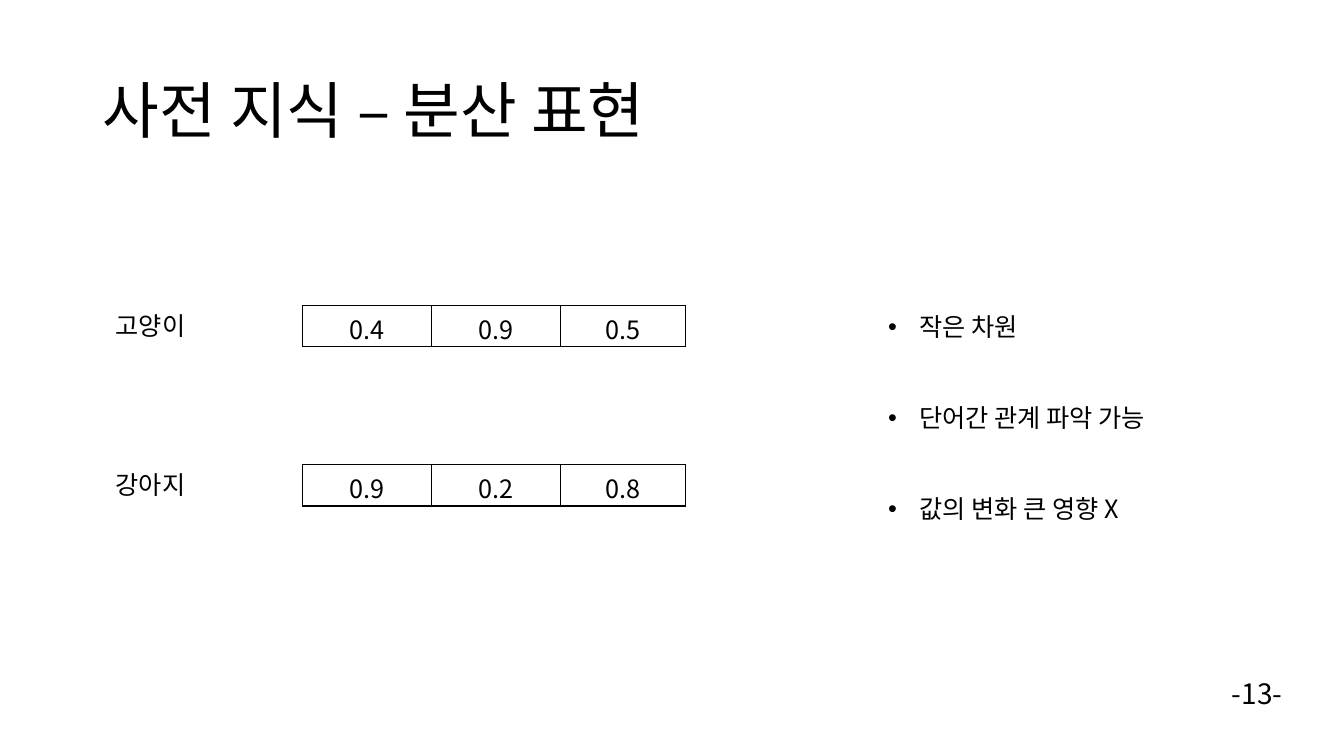
from dataclasses import dataclass

from lxml import etree
from pptx import Presentation, util as u
from pptx.dml.color import RGBColor
from pptx.enum import text
from pptx.oxml.ns import qn

COLORS = {"ink": "000000", "paper": "FFFFFF"}
FONT = "Noto Sans CJK KR"
COLUMN_WIDTHS = (1.28, 1.28, 1.24)
ROW_HEIGHT = 0.41


@dataclass
class WordVector:
    word: str
    values: tuple[str, ...]
    top: float


@dataclass
class Label:
    lines: tuple[str, ...]
    left: float
    top: float
    width: float
    height: float
    size: int = 18


VECTORS = (
    WordVector("고양이", ("0.4", "0.9", "0.5"), 3.03),
    WordVector("강아지", ("0.9", "0.2", "0.8"), 4.61),
)
PAGE_NUMBER = Label(("-13-",), 12.12, 6.66, 0.74, 0.44, 20)
ADVANTAGES = Label(
    ("작은 차원", "단어간 관계 파악 가능", "값의 변화 큰 영향 X"), 8.71, 2.89, 3.06, 2.31
)


def style_paragraph(paragraph, size: int) -> None:
    font = paragraph.font
    font.size = u.Pt(size)
    font.name = FONT
    font.color.rgb = RGBColor.from_string(COLORS["ink"])
    defaults = paragraph._p.pPr.find(qn("a:defRPr"))
    defaults.find(qn("a:latin")).addnext(etree.Element(qn("a:ea"), typeface=FONT))


def add_bullet(paragraph) -> None:
    properties = paragraph._p.pPr
    properties.set("marL", str(u.Inches(0.31)))
    properties.set("indent", str(-u.Inches(0.31)))
    defaults = properties.find(qn("a:defRPr"))
    defaults.addprevious(etree.Element(qn("a:buFont"), typeface="Arial"))
    defaults.addprevious(etree.Element(qn("a:buChar"), char="•"))


def add_label(slide, label: Label):
    box = slide.shapes.add_textbox(
        *map(u.Inches, (label.left, label.top, label.width, label.height))
    )
    frame = box.text_frame
    frame.word_wrap = False
    frame.auto_size = text.MSO_AUTO_SIZE.SHAPE_TO_FIT_TEXT
    frame.text = "\n".join(label.lines)
    for paragraph in frame.paragraphs:
        style_paragraph(paragraph, label.size)
    return frame


def add_borders(cell) -> None:
    properties = cell._tc.get_or_add_tcPr()
    for index, side in enumerate(("lnL", "lnR", "lnT", "lnB")):
        border = etree.Element(qn(f"a:{side}"), w=str(u.Pt(1)))
        fill = etree.SubElement(border, qn("a:solidFill"))
        etree.SubElement(fill, qn("a:srgbClr"), val=COLORS["ink"])
        properties.insert(index, border)


def add_vector(slide, vector: WordVector) -> None:
    add_label(slide, Label((vector.word,), 1.05, vector.top, 0.96, 0.4))
    table = slide.shapes.add_table(
        1, len(vector.values), u.Inches(3), u.Inches(vector.top),
        u.Inches(sum(COLUMN_WIDTHS)), u.Inches(ROW_HEIGHT),
    ).table
    table.first_row = False
    table.horz_banding = False
    for column, width in zip(table.columns, COLUMN_WIDTHS):
        column.width = u.Inches(width)
    for cell, value in zip(table.rows[0].cells, vector.values):
        cell.text = value
        cell.fill.solid()
        cell.fill.fore_color.rgb = RGBColor.from_string(COLORS["paper"])
        add_borders(cell)
        paragraph = cell.text_frame.paragraphs[0]
        paragraph.alignment = text.PP_ALIGN.CENTER
        style_paragraph(paragraph, 18)


def add_title(slide, wording: str) -> None:
    title = slide.shapes.title
    title.left, title.top, title.width, title.height = map(
        u.Inches, (0.92, 0.4, 11.5, 1.45)
    )
    frame = title.text_frame
    frame.text = wording
    frame.auto_size = text.MSO_AUTO_SIZE.NONE
    frame.vertical_anchor = text.MSO_ANCHOR.MIDDLE
    paragraph = frame.paragraphs[0]
    paragraph.alignment = text.PP_ALIGN.LEFT
    paragraph.line_spacing = 0.9
    style_paragraph(paragraph, 44)


def main() -> None:
    deck = Presentation()
    deck.slide_width, deck.slide_height = u.Inches(13.33), u.Inches(7.5)
    slide = deck.slides.add_slide(deck.slide_layouts[5])
    add_title(slide, "사전 지식 – 분산 표현")
    add_label(slide, PAGE_NUMBER)
    for vector in VECTORS:
        add_vector(slide, vector)
    advantages = add_label(slide, ADVANTAGES)
    for paragraph in advantages.paragraphs:
        paragraph.line_spacing = 1.5
        add_bullet(paragraph)
    for paragraph in advantages.paragraphs[:-1]:
        paragraph.space_after = u.Pt(32.5)
    deck.save("out.pptx")


if __name__ == "__main__":
    main()
